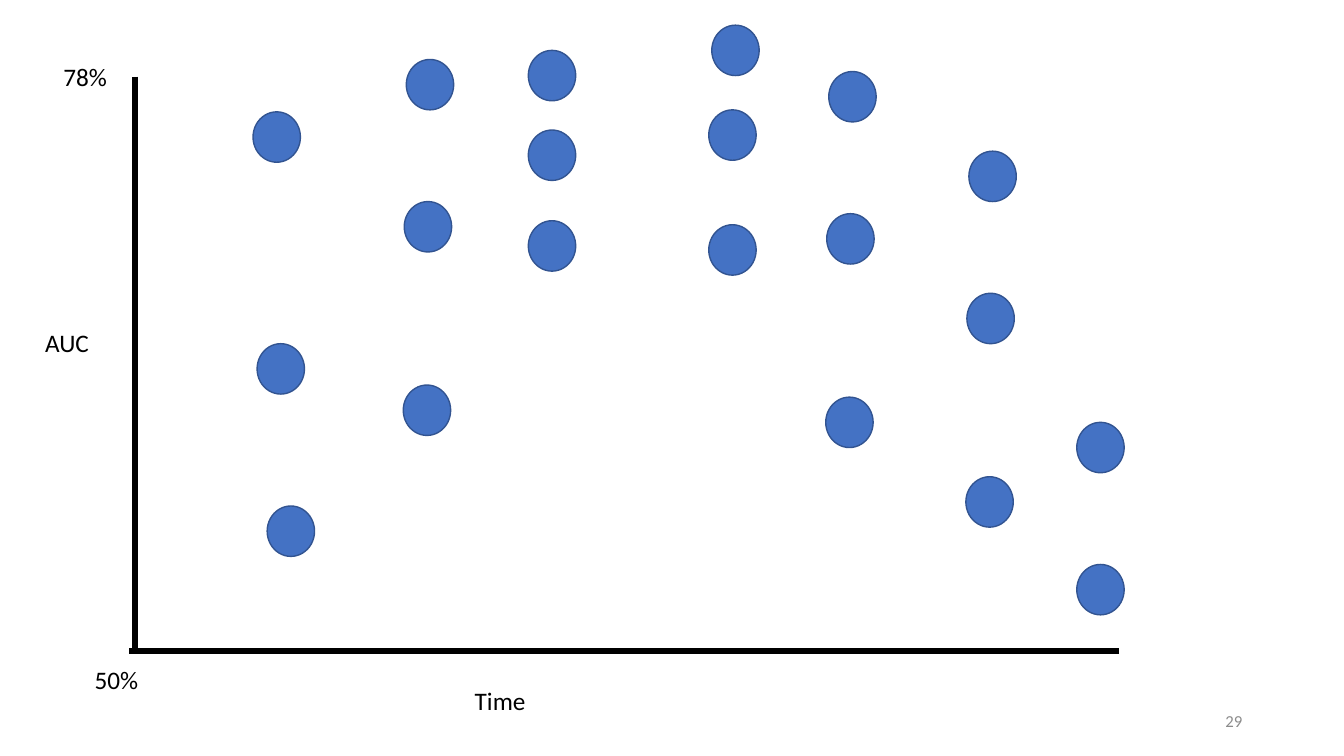
from pptx import Presentation
from pptx.dml.color import RGBColor
from pptx.enum.shapes import MSO_CONNECTOR, MSO_SHAPE
from pptx.enum.text import MSO_ANCHOR, PP_ALIGN
from pptx.oxml.ns import qn
from pptx.util import Inches, Pt
from lxml import etree

COLORS = {"text": "000000", "axis": "000000", "dot": "4472C4",
          "dot_line": "325491", "number": "8C8C8C"}
DOT_W, DOT_H = 0.47, 0.5

TRIO = [(0, 3.23), (0.01, 1.41), (0.03, 0)]
TRIO_ORIGINS = [(2.66, 0.34), (6.85, 0.46), (8.24, 1.25)]
SINGLE_DOTS = [
    (1.31, 4.77), (1.21, 3.16), (1.17, 0.86),
    (3.9, 1.94), (3.9, 1.04), (3.9, 0.25),
    (5.69, 1.98), (5.69, 0.84), (5.72, 0),
    (9.34, 3.94), (9.34, 5.35),
]
LABELS = [("Time", 3.27, 6.5, 0.71), ("AUC", -0.99, 2.95, 0.64),
          ("78%", -0.81, 0.31, 0.64), ("50%", -0.5, 6.29, 0.64)]


def color(name):
    return RGBColor.from_string(COLORS[name])


def add_text(s, text, box, size, fill, align=PP_ALIGN.LEFT, wrap=False):
    tf = s.shapes.add_textbox(*map(Inches, box)).text_frame
    tf.word_wrap = wrap
    tf.text = text
    p = tf.paragraphs[0]
    p.alignment = align
    font = p.runs[0].font
    font.name, font.size = "Calibri", Pt(size)
    font.color.rgb = color(fill)
    return tf


def add_axis(s, x1, y1, x2, y2):
    line = s.shapes.add_connector(MSO_CONNECTOR.STRAIGHT,
                                  *map(Inches, (x1, y1, x2, y2)))
    line.line.color.rgb = color("axis")
    line.line.width = Pt(4.5)
    etree.SubElement(line._element.spPr, qn("a:effectLst"))


def add_dot(s, x, y):
    sp = s.shapes.add_shape(MSO_SHAPE.OVAL, *map(Inches, (x, y, DOT_W, DOT_H)))
    sp.shadow.inherit = False
    sp.fill.solid()
    sp.fill.fore_color.rgb = color("dot")
    sp.line.color.rgb = color("dot_line")
    sp.line.width = Pt(1)


def add_plot(s, left, top, width, height):
    bottom = top + height
    add_axis(s, left, top + 0.51, left, bottom)
    add_axis(s, left + width, bottom, left - 0.06, bottom)
    for text, dx, dy, w in LABELS:
        add_text(s, text, (left + dx, top + dy, w, 0.4), 18, "text")
    trios = [(x + dx, y + dy) for x, y in TRIO_ORIGINS for dx, dy in TRIO]
    for dx, dy in SINGLE_DOTS + trios:
        add_dot(s, left + dx, top + dy)


def add_slide_number(s, number, box):
    tf = add_text(s, number, box, 12, "number", PP_ALIGN.RIGHT, True)
    tf.vertical_anchor = MSO_ANCHOR.MIDDLE


def main():
    prs = Presentation()
    prs.slide_width, prs.slide_height = Inches(13.33), Inches(7.5)
    s = prs.slides.add_slide(prs.slide_layouts[6])
    add_plot(s, 1.34, 0.25, 9.76, 6.21)
    add_slide_number(s, "29", (9.42, 6.95, 3, 0.4))
    prs.save("out.pptx")


if __name__ == "__main__":
    main()
